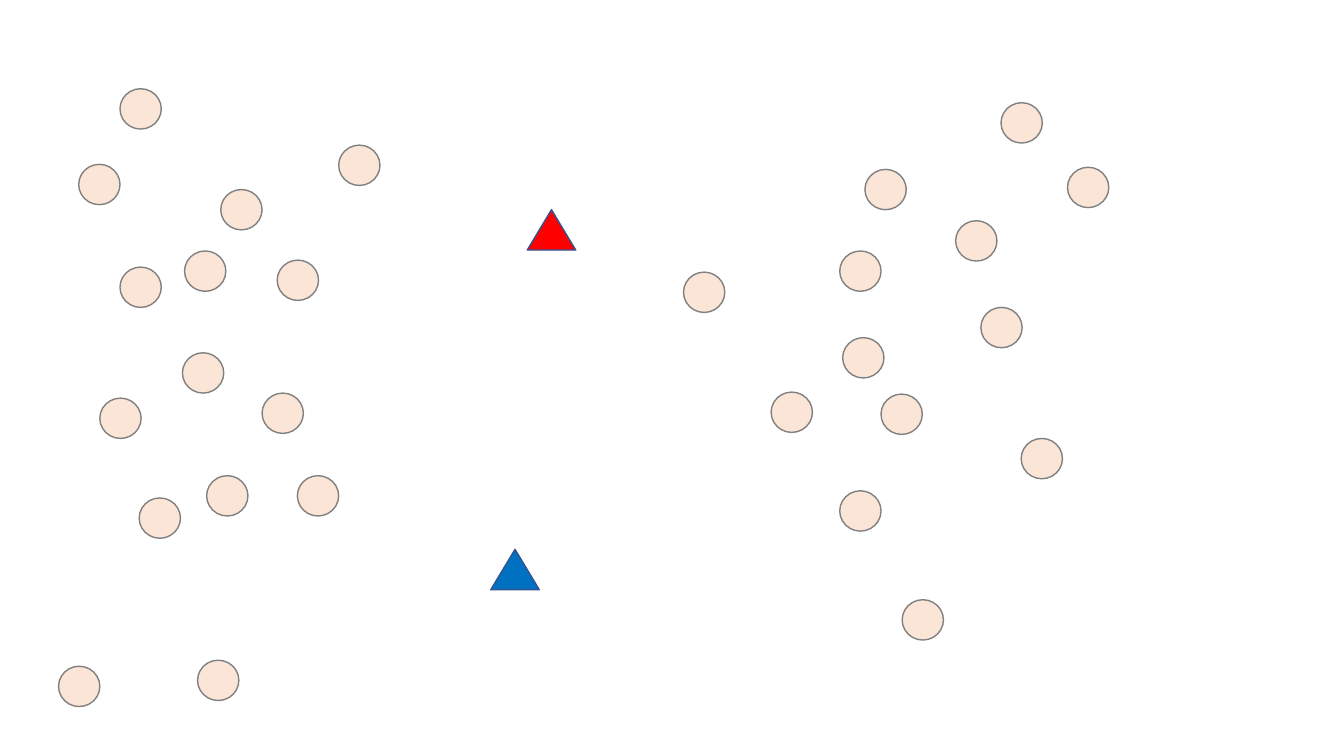
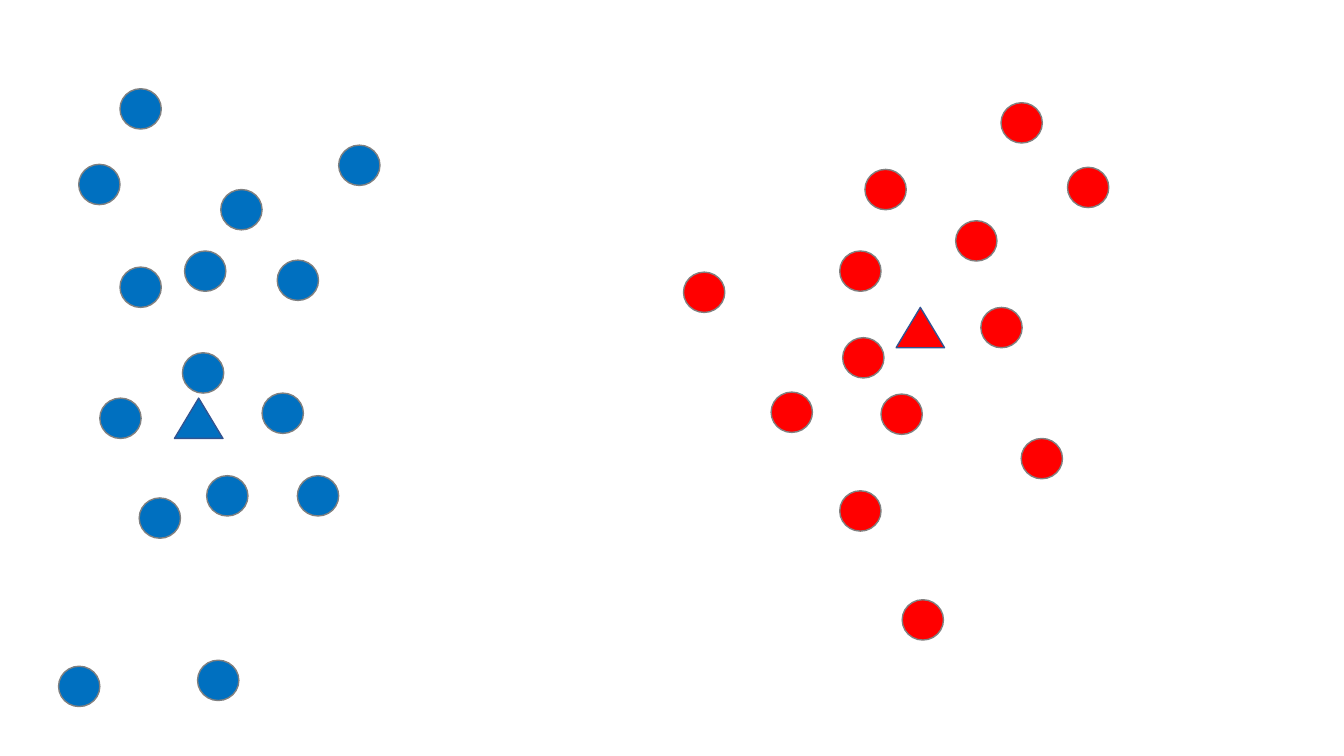
from pptx import Presentation
from pptx.dml.color import RGBColor
from pptx.enum import shapes
from pptx.util import Pt

COLORS = {
    "unassigned": "FBE5D6",
    "blue": "0070C0",
    "red": "FF0000",
    "point_line": "808080",
    "centroid_line": "325491",
}
SLIDE_SIZE = (960, 540)
POINT_SIZE = (29.5, 28.8)
CENTROID_SIZE = (34.6, 28.8)

# Left and top of each data point, in points, by cluster
CLUSTERS = {
    "blue": [
        (198, 185.8), (85.7, 190.8), (130.3, 252), (71.3, 284.4),
        (131.8, 179.3), (157.7, 135.4), (141.1, 471.6), (99.4, 355.7),
        (147.6, 339.8), (187.2, 280.8), (41.8, 475.9), (241.9, 103.7),
        (212.4, 339.8), (85.7, 63.4), (56.2, 117.4),
    ],
    "red": [
        (601.9, 241.2), (617.8, 121), (488.2, 194.4), (599.8, 179.3),
        (550.8, 280.1), (599.8, 350.6), (629.3, 281.5), (644.4, 428.4),
        (729.4, 313.2), (682.6, 157.7), (715, 73.4), (700.6, 219.6),
        (762.5, 119.5),
    ],
}

# Left and top of each centroid, before and after clustering
START_CENTROIDS = {"red": (376.6, 149.8), "blue": (350.6, 392.4)}
FINAL_CENTROIDS = {"blue": (124.6, 284.4), "red": (640.1, 219.6)}


def add_marker(slide, kind, pos, size, fill, line):
    """Draw one filled and outlined marker."""
    sp = slide.shapes.add_shape(kind, *(Pt(v) for v in (*pos, *size)))
    sp.shadow.inherit = False
    sp.fill.solid()
    sp.fill.fore_color.rgb = RGBColor.from_string(COLORS[fill])
    sp.line.color.rgb = RGBColor.from_string(COLORS[line])
    sp.line.width = Pt(1)
    return sp


def add_scatter(slide, left, top, centroids, assigned):
    """Place the points and centroids relative to the plot's corner."""
    # Data points
    for cluster, points in CLUSTERS.items():
        fill = cluster if assigned else "unassigned"
        for x, y in points:
            add_marker(slide, shapes.MSO_SHAPE.OVAL, (left + x, top + y),
                       POINT_SIZE, fill, "point_line")
    # Centroids
    for cluster, (x, y) in centroids.items():
        add_marker(slide, shapes.MSO_SHAPE.ISOSCELES_TRIANGLE,
                   (left + x, top + y), CENTROID_SIZE, cluster,
                   "centroid_line")


def main():
    prs = Presentation()
    prs.slide_width, prs.slide_height = (Pt(v) for v in SLIDE_SIZE)
    blank = prs.slide_layouts[6]
    for centroids, assigned in ((START_CENTROIDS, False),
                                (FINAL_CENTROIDS, True)):
        slide = prs.slides.add_slide(blank)
        add_scatter(slide, 0, 0, centroids, assigned)
    prs.save("out.pptx")


if __name__ == "__main__":
    main()
